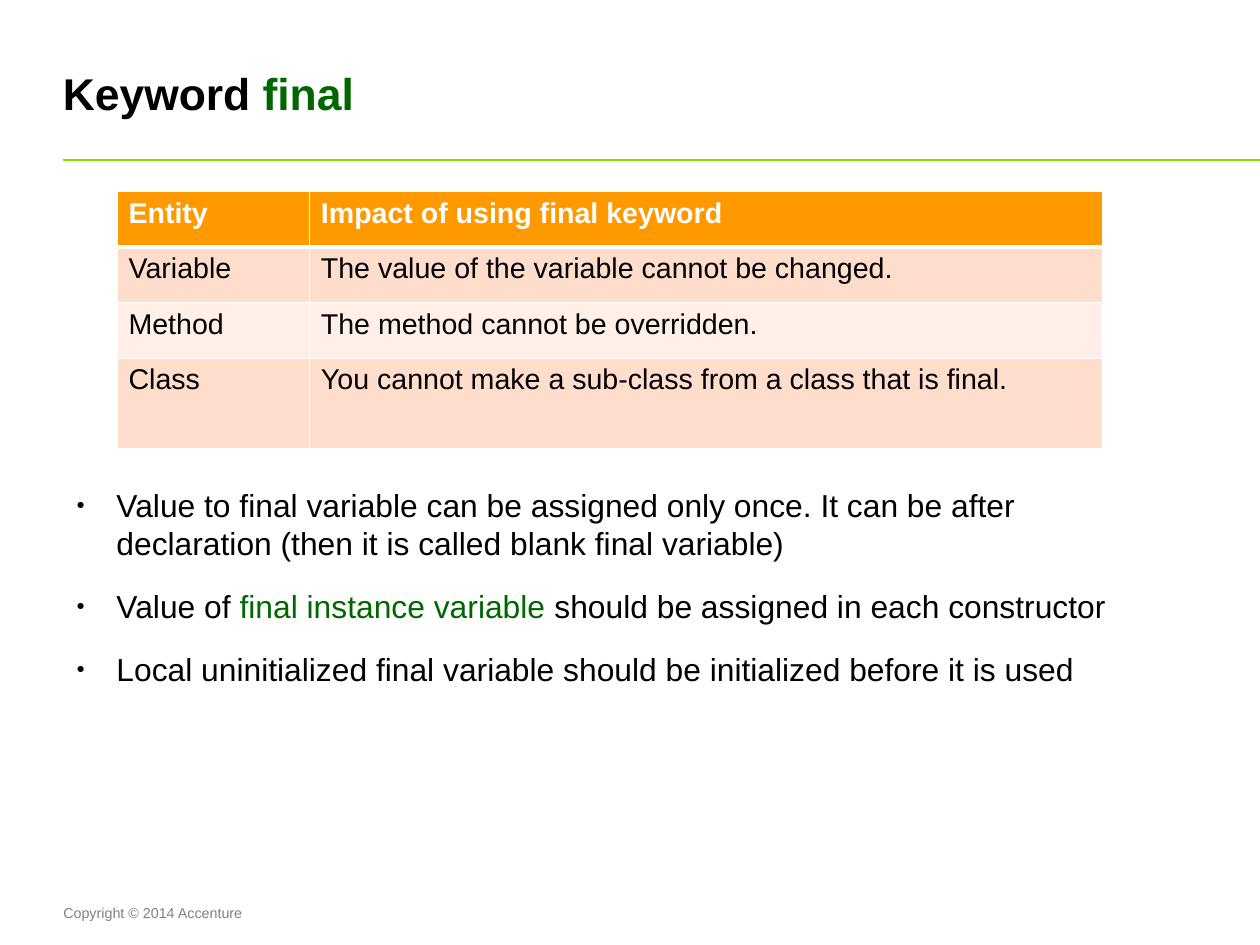
from lxml import etree
from pptx import Presentation
from pptx import util as u
from pptx.dml.color import RGBColor
from pptx.enum import shapes, text
from pptx.oxml.ns import qn

Pt = u.Pt
HUES = {"ink": "000000", "key": "006600", "rule": "88DD00", "note": "808080",
        "white": "FFFFFF", "head": "FF9900", "odd": "FFDDCC", "even": "FFEFE7"}
ROWS = [("Entity", "Impact of using final keyword"),
        ("Variable", "The value of the variable cannot be changed."),
        ("Method", "The method cannot be overridden."),
        ("Class", "You cannot make a sub-class from a class that is final.")]
POINTS = [
    [("Value to final variable can be assigned only once. It can be after "
      "declaration (then it is called blank final variable)", "ink")],
    [("Value of", "ink"), (" final instance variable", "key"),
     (" should be assigned in each constructor", "ink")],
    [("Local uninitialized final variable should be initialized before it is used", "ink")]]


def color(name):
    """Return the named colour."""
    return RGBColor.from_string(HUES[name])


def write(para, runs, size, bold=False):
    """Add coloured runs to a paragraph."""
    for words, hue in runs:
        run = para.add_run()
        run.text = words
        font = run.font
        font.name, font.size, font.bold = "Arial", Pt(size), bold
        font.color.rgb = color(hue)


def frame(slide, box, inset=(0, 0)):
    """Add a wrapping text box and return its text frame."""
    body = slide.shapes.add_textbox(*map(Pt, box)).text_frame
    body.word_wrap = True
    body.margin_left = body.margin_right = Pt(inset[0])
    body.margin_top = body.margin_bottom = Pt(inset[1])
    return body


def header(slide, box):
    """Place the title and the rule that runs below it to the slide's edge."""
    left, top, width, height = box
    title = frame(slide, (left, top, 714.2, 52.5))
    title.vertical_anchor = text.MSO_ANCHOR.MIDDLE
    write(title.paragraphs[0], [("Keyword ", "ink"), ("final", "key")], 28, True)
    low = Pt(top + height)
    rule = slide.shapes.add_connector(
        shapes.MSO_CONNECTOR.STRAIGHT, Pt(left), low, Pt(left + width), low)
    rule.line.color.rgb = color("rule")
    rule.line.width = Pt(1)
    etree.SubElement(rule._element.spPr, qn("a:effectLst"))


def border(cell, head):
    """Draw white cell borders, with a thick one below the header."""
    props = cell._tc.get_or_add_tcPr()
    for spot, side in enumerate(("lnL", "lnR", "lnT", "lnB")):
        wide = 3 if head and side == "lnB" else 0.96
        line = etree.Element(qn("a:" + side), w=str(int(Pt(wide))))
        fill = etree.SubElement(line, qn("a:solidFill"))
        etree.SubElement(fill, qn("a:srgbClr"), val=HUES["white"])
        props.insert(spot, line)


def grid(slide, box):
    """Place the table of entities."""
    table = slide.shapes.add_table(len(ROWS), 2, *map(Pt, box)).table
    first, high = 121.2, 35
    table.columns[0].width = Pt(first)
    table.columns[1].width = Pt(box[2] - first)
    for r, row in enumerate(ROWS):
        last = r == len(ROWS) - 1
        table.rows[r].height = Pt(box[3] - high * r if last else high)
        head = r == 0
        for c, words in enumerate(row):
            cell = table.cell(r, c)
            cell.fill.solid()
            cell.fill.fore_color.rgb = color("head" if head else "odd" if r % 2 else "even")
            border(cell, head)
            write(cell.text_frame.paragraphs[0],
                  [(words, "white" if head else "ink")], 18, head)


def bullets(slide, box):
    """Place the bulleted remarks."""
    body = frame(slide, box)
    for n, runs in enumerate(POINTS):
        para = body.add_paragraph() if n else body.paragraphs[0]
        props = para._p.get_or_add_pPr()
        props.set("marL", str(int(Pt(33.8))))
        props.set("indent", str(int(Pt(-25.2))))
        tint = etree.SubElement(props, qn("a:buClr"))
        etree.SubElement(tint, qn("a:srgbClr"), val=HUES["ink"])
        etree.SubElement(props, qn("a:buSzPct"), val="45000")
        etree.SubElement(props, qn("a:buFont"), typeface="Arial")
        etree.SubElement(props, qn("a:buChar"), char="●")
        if n:
            para.space_before = Pt(15.6)
        write(para, runs, 20)


def footer(slide, box):
    """Place the copyright line."""
    body = frame(slide, box, (7.2, 3.6))
    write(body.paragraphs[0], [("Copyright © 2014 Accenture", "note")], 9)


def main():
    """Build and save the slide."""
    deck = Presentation()
    deck.slide_width, deck.slide_height = Pt(793.75), Pt(595.25)
    slide = deck.slides.add_slide(deck.slide_layouts[6])
    header(slide, (39.6, 32.4, 754.15, 68.4))
    grid(slide, (73.8, 120.7, 621, 162.2))
    bullets(slide, (39.6, 305.8, 698.4, 263))
    footer(slide, (32.8, 566.3, 724.3, 18))
    deck.save("out.pptx")


if __name__ == "__main__":
    main()
